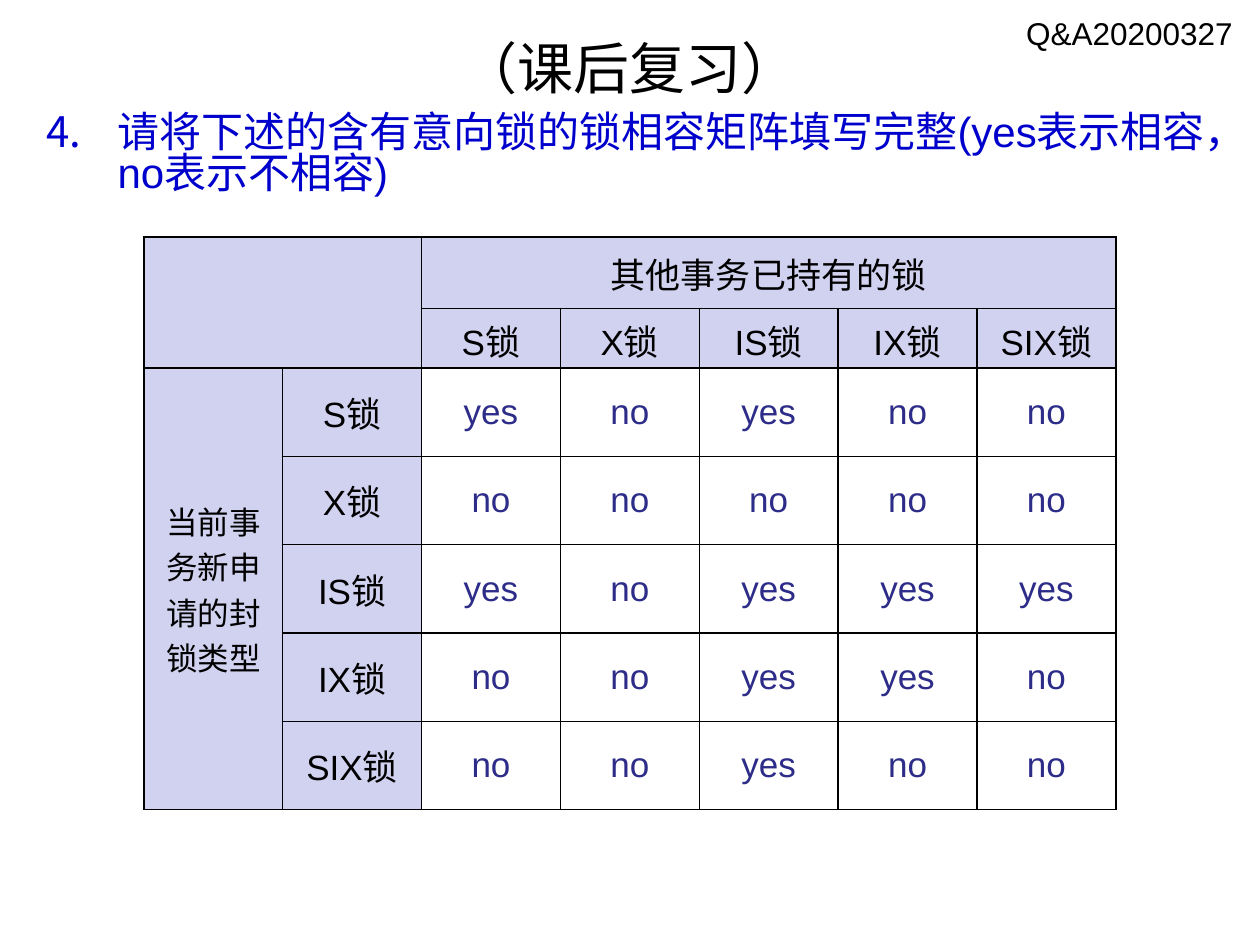
from lxml import etree
from pptx import Presentation
from pptx.dml.color import RGBColor
from pptx.enum.text import MSO_ANCHOR, PP_ALIGN
from pptx.oxml.ns import qn
from pptx.util import Cm, Pt

LOCKS = ["S锁", "X锁", "IS锁", "IX锁", "SIX锁"]
MATRIX = [
    "yes no yes no no",
    "no no no no no",
    "yes no yes yes yes",
    "no no yes yes no",
    "no no yes no no",
]
HEAD_FILL = "D1D1F0"


def color(value):
    """Turn a hex string into a colour."""
    return RGBColor.from_string(value)


def write(tf, text, size=20, fill="000000", align=PP_ALIGN.CENTER):
    """Write one formatted paragraph and return it."""
    p = tf.paragraphs[0]
    p.alignment = align
    r = p.add_run()
    r.text = text
    r.font.name = "Arial"
    r.font.size = Pt(size)
    r.font.color.rgb = color(fill)
    return p


def add_text(s, box, text, anchor=MSO_ANCHOR.TOP, **fmt):
    """Add a wrapping text box and return its paragraph."""
    tf = s.shapes.add_textbox(*map(Cm, box)).text_frame
    tf.word_wrap = True
    tf.vertical_anchor = anchor
    return write(tf, text, **fmt)


def add_question(s, box, text, number):
    """Add the numbered question with a hanging indent."""
    p = add_text(s, box, text, size=24, fill="0000CC", align=PP_ALIGN.LEFT)
    p.space_before = Pt(4.8)
    p.line_spacing = 0.82
    pPr = p._p.get_or_add_pPr()
    pPr.set("marL", str(Cm(1.43)))
    pPr.set("indent", str(Cm(-1.43)))
    etree.SubElement(pPr, qn("a:buFont"), typeface="Arial")
    etree.SubElement(pPr, qn("a:buAutoNum"), type="arabicPeriod", startAt=str(number))


def style_cell(cell, fill=None):
    """Give a cell its fill, middle anchor and black borders."""
    cell.vertical_anchor = MSO_ANCHOR.MIDDLE
    if fill:
        cell.fill.solid()
        cell.fill.fore_color.rgb = color(fill)
    else:
        cell.fill.background()
    tcPr = cell._tc.get_or_add_tcPr()
    for i, side in enumerate(("lnL", "lnR", "lnT", "lnB")):
        ln = etree.Element(qn(f"a:{side}"), w=str(Pt(1)))
        solid = etree.SubElement(ln, qn("a:solidFill"))
        etree.SubElement(solid, qn("a:srgbClr"), val="000000")
        tcPr.insert(i, ln)


def add_matrix(s, left, top, col_width, row_heights):
    """Add the lock compatibility table."""
    rows, cols = len(row_heights), len(LOCKS) + 2
    frame = s.shapes.add_table(rows, cols, Cm(left), Cm(top),
                               Cm(col_width * cols), Cm(sum(row_heights)))
    table = frame.table
    table.first_row = table.horz_banding = False
    for col in table.columns:
        col.width = Cm(col_width)
    for row, height in zip(table.rows, row_heights):
        row.height = Cm(height)
    for i in range(rows):
        for j in range(cols):
            style_cell(table.cell(i, j), HEAD_FILL if i < 2 or j < 2 else None)

    for first, last in (((0, 0), (1, 1)), ((0, 2), (0, 6)), ((2, 0), (6, 0))):
        table.cell(*first).merge(table.cell(*last))
    write(table.cell(0, 2).text_frame, "其他事务已持有的锁")
    side = table.cell(2, 0)
    write(side.text_frame, "当前事务新申请的封锁类型", size=18)
    side._tc.get_or_add_tcPr().set("vert", "eaVert")

    for i, (lock, answers) in enumerate(zip(LOCKS, MATRIX), 2):
        head = table.cell(1, i)
        head.margin_bottom = Cm(0.04)
        write(head.text_frame, lock)
        write(table.cell(i, 1).text_frame, lock)
        for j, answer in enumerate(answers.split(), 2):
            write(table.cell(i, j).text_frame, answer, fill="2D2D89")


def main():
    """Build and save the slide."""
    prs = Presentation()
    prs.slide_width, prs.slide_height = Cm(25.4), Cm(19.05)
    s = prs.slides.add_slide(prs.slide_layouts[6])
    add_text(s, (1.27, 0.53, 22.86, 1.63), "（课后复习）",
             anchor=MSO_ANCHOR.MIDDLE, size=32)
    add_question(s, (0.69, 2.18, 23.88, 2.31),
                 "请将下述的含有意向锁的锁相容矩阵填写完整(yes表示相容，no表示不相容)", 4)
    add_text(s, (20.17, 0.15, 4.93, 1.02), "Q&A20200327",
             size=18, align=PP_ALIGN.RIGHT)
    add_matrix(s, 2.9, 4.78, 2.8, [1.44, 1.2] + [1.78] * len(LOCKS))
    prs.save("out.pptx")


if __name__ == "__main__":
    main()
